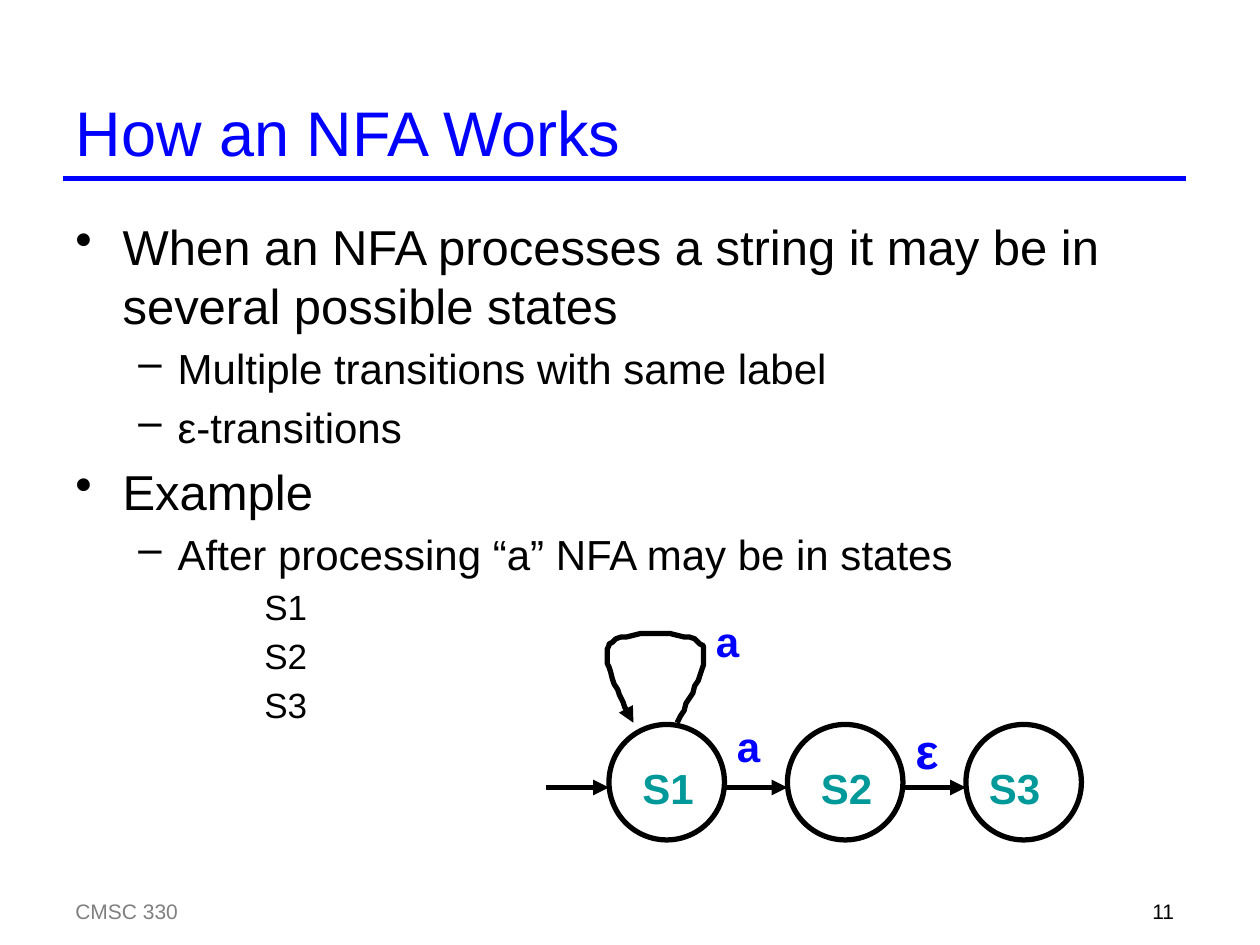
"""Build the slide that explains how an NFA works."""
from lxml import etree
from pptx import Presentation
from pptx.dml.color import RGBColor
from pptx.enum.shapes import MSO_CONNECTOR, MSO_SHAPE
from pptx.enum.text import MSO_ANCHOR, MSO_AUTO_SIZE, PP_ALIGN
from pptx.oxml.ns import qn
from pptx.util import Pt

STRAIGHT = MSO_CONNECTOR.STRAIGHT
OVAL = MSO_SHAPE.OVAL
MIDDLE = MSO_ANCHOR.MIDDLE
NO_FIT = MSO_AUTO_SIZE.NONE
LEFT, RIGHT = PP_ALIGN.LEFT, PP_ALIGN.RIGHT
FONT = "Arial"
COLORS = {"blue": "0000FF", "black": "000000", "gray": "808080", "teal": "009999"}
LEVELS = {
    0: {"size": 28, "margin": 27, "indent": -27, "bullet": "•"},
    1: {"size": 24, "margin": 58.5, "indent": -22.5, "bullet": "–"},
    3: {"size": 20, "margin": 126, "indent": -18, "bullet": None},
}
BODY = [
    (0, "When an NFA processes a string it may be in several possible states"),
    (1, "Multiple transitions with same label"),
    (1, "ε-transitions"),
    (0, "Example"),
    (1, "After processing “a” NFA may be in states"),
    (3, "S1"),
    (3, "S2"),
    (3, "S3"),
]


def color(name):
    return RGBColor.from_string(COLORS[name])


def style_paragraph(paragraph, size, color_name, bold=False, align=LEFT):
    paragraph.alignment = align
    paragraph.font.name = FONT
    paragraph.font.size = Pt(size)
    paragraph.font.bold = bold
    paragraph.font.color.rgb = color(color_name)


def add_text(slide, box, text, size, color_name, bold=False, align=LEFT):
    frame = slide.shapes.add_textbox(*map(Pt, box)).text_frame
    frame.word_wrap = True
    frame.text = text
    style_paragraph(frame.paragraphs[0], size, color_name, bold, align)


def style_line(shape, color_name, arrow=False):
    shape.line.color.rgb = color(color_name)
    shape.line.width = Pt(3)
    if arrow:
        etree.SubElement(shape.line._get_or_add_ln(), qn("a:tailEnd"), type="triangle")


def add_line(slide, start, end, color_name, arrow=False):
    connector = slide.shapes.add_connector(STRAIGHT, *map(Pt, start + end))
    style_line(connector, color_name, arrow)
    etree.SubElement(connector._element.spPr, qn("a:effectLst"))


def add_title(slide, left, top, width, height):
    title = slide.shapes.title
    title.left, title.top, title.width, title.height = map(Pt, (left, top, width, height))
    frame = title.text_frame
    frame.text = "How an NFA Works"
    frame.auto_size = NO_FIT
    frame.vertical_anchor = MIDDLE
    style_paragraph(frame.paragraphs[0], 36, "blue")
    add_line(slide, (left, top + height), (left + width, top + height), "blue")


def add_body(slide, left, top, width, height):
    frame = slide.shapes.add_textbox(*map(Pt, (left, top, width, height))).text_frame
    frame.word_wrap = True
    for index, (level, text) in enumerate(BODY):
        paragraph = frame.add_paragraph() if index else frame.paragraphs[0]
        rule = LEVELS[level]
        paragraph.text = text
        paragraph.level = level
        style_paragraph(paragraph, rule["size"], "black")
        paragraph.space_before = Pt(0.2 * rule["size"])
        properties = paragraph._p.get_or_add_pPr()
        properties.set("marL", str(Pt(rule["margin"])))
        properties.set("indent", str(Pt(rule["indent"])))
        if rule["bullet"]:
            bullet = etree.Element(qn("a:buChar"), char=rule["bullet"])
            properties.find(qn("a:defRPr")).addprevious(bullet)


def curve_points(start, first, second, end, steps=16):
    for step in range(1, steps + 1):
        t = step / steps
        weights = ((1 - t) ** 3, 3 * t * (1 - t) ** 2, 3 * t * t * (1 - t), t ** 3)
        yield tuple(
            sum(weight * point[axis] for weight, point in zip(weights, (start, first, second, end)))
            for axis in (0, 1)
        )


def add_loop(slide, left, top):
    anchors = [(45, 53), (54.5, 34), (65, 15), (58.5, 8), (52, 0), (13, 0),
               (6.5, 8), (0, 15), (13, 38), (19.5, 53)]
    anchors = [(left + x, top + y) for x, y in anchors]
    builder = slide.shapes.build_freeform(*anchors[0], scale=Pt(1))
    for first in range(0, 9, 3):
        builder.add_line_segments(curve_points(*anchors[first:first + 4]), close=False)
    loop = builder.convert_to_shape()
    loop.fill.background()
    loop.shadow.inherit = False
    style_line(loop, "black", arrow=True)


def add_automaton(slide, left, top):
    diameter, gap = 66, 36
    middle = top + 90
    for index, (state, label_offset) in enumerate((("S1", 12), ("S2", 12), ("S3", 6))):
        x = left + gap + index * (diameter + gap)
        circle = slide.shapes.add_shape(OVAL, *map(Pt, (x, top + 54, diameter, diameter)))
        circle.fill.background()
        circle.shadow.inherit = False
        style_line(circle, "black")
        add_line(slide, (x - gap, middle), (x, middle), "black", arrow=True)
        add_text(slide, (x + label_offset, top + 72, 48, 36), state, 24, "teal", bold=True)
    add_loop(slide, left + 30, top)
    for x, y, text, size in ((90, -12, "a", 24), (102, 48, "a", 24), (204, 48, "ε", 28)):
        add_text(slide, (left + x, top + y, 36, 36), text, size, "blue", bold=True)


def add_footer(slide, left, top, width, height):
    add_text(slide, (left, top, 438, height), "CMSC 330", 12, "gray")
    add_text(slide, (left + width - 150, top, 150, height), "11", 12, "black", align=RIGHT)


def main():
    presentation = Presentation()
    presentation.slide_width, presentation.slide_height = Pt(720), Pt(540)
    slide = presentation.slides.add_slide(presentation.slide_layouts[5])
    add_title(slide, 36, 48, 642, 54)
    add_body(slide, 36, 120, 642, 384)
    add_automaton(slide, 312, 360)
    add_footer(slide, 36, 510, 642, 18)
    presentation.save("out.pptx")


main()
